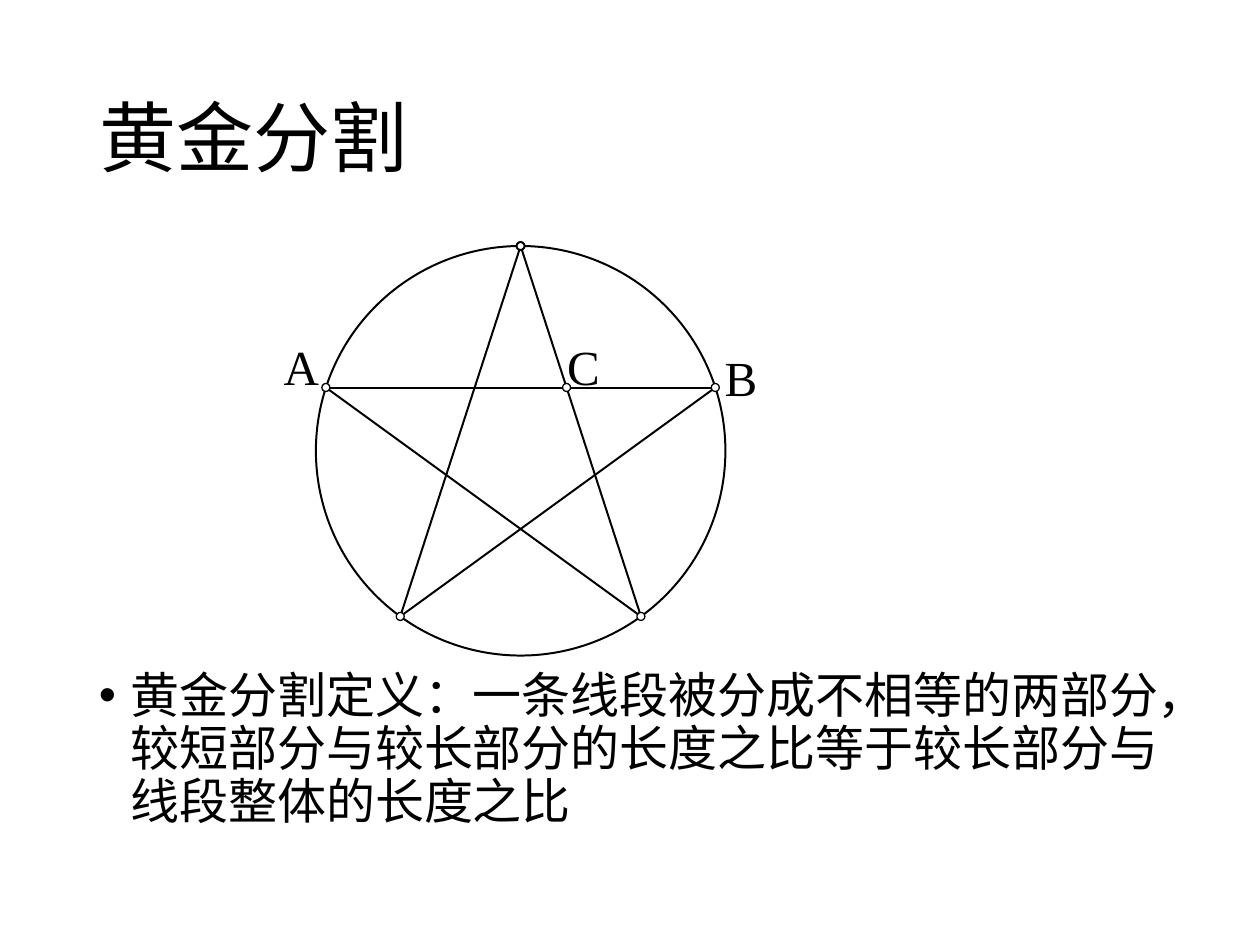
import math
from dataclasses import dataclass
from typing import Any

from lxml import etree
from pptx import Presentation
from pptx.dml.color import RGBColor
from pptx.enum.shapes import MSO_CONNECTOR, MSO_SHAPE
from pptx.enum.text import MSO_ANCHOR, MSO_AUTO_SIZE, PP_ALIGN
from pptx.oxml.ns import qn
from pptx.util import Pt

OVAL = MSO_SHAPE.OVAL
STRAIGHT = MSO_CONNECTOR.STRAIGHT
MIDDLE, TOP = MSO_ANCHOR.MIDDLE, MSO_ANCHOR.TOP
LEFT = PP_ALIGN.LEFT
NO_FIT, GROW = MSO_AUTO_SIZE.NONE, MSO_AUTO_SIZE.SHAPE_TO_FIT_TEXT

COLORS = {"ink": "000000", "paper": "FFFFFF"}
CJK = "Noto Sans CJK SC"
LATIN = "Times New Roman"
GOLDEN_RATIO = (1 + math.sqrt(5)) / 2


@dataclass
class Sketch:
    page: Any
    group: Any = None
    line_width: float = 1.13

    def color(self, name):
        return RGBColor.from_string(COLORS[name])

    def place(self, box, left, top, width, height):
        box.left, box.top = Pt(left), Pt(top)
        box.width, box.height = Pt(width), Pt(height)

    def add_text(self, box, text, size, font, anchor=TOP, wrap=True, fit=NO_FIT):
        frame = box.text_frame
        frame.word_wrap = wrap
        frame.auto_size = fit
        frame.vertical_anchor = anchor
        para = frame.paragraphs[0]
        para.alignment = LEFT
        para.space_before = Pt(0)
        span = para.add_run()
        span.text = text
        span.font.size = Pt(size)
        span.font.name = font
        span.font.color.rgb = self.color("ink")
        east_asian = etree.SubElement(span.font._element, qn("a:ea"))
        east_asian.set("typeface", CJK)
        return para

    def title(self, text, *bounds):
        box = self.page.shapes.title
        self.place(box, *bounds)
        self.add_text(box, text, 44, CJK, anchor=MIDDLE).line_spacing = 0.9

    def bullet(self, text, *bounds):
        box = self.page.shapes.add_textbox(*map(Pt, bounds))
        para = self.add_text(box, text, 28, LATIN)
        para.line_spacing = 0.9
        properties = para._p.get_or_add_pPr()
        properties.set("marL", str(Pt(18)))
        properties.set("indent", str(-Pt(18)))
        properties.set("hangingPunct", "1")
        etree.SubElement(properties, qn("a:buFont")).set("typeface", "Arial")
        etree.SubElement(properties, qn("a:buChar")).set("char", "•")

    def label(self, text, *bounds):
        box = self.page.shapes.add_textbox(*map(Pt, bounds))
        self.add_text(box, text, 28, LATIN, wrap=False, fit=GROW)

    def circle(self, center, radius, width, fill=None):
        x, y = center
        bounds = (x - radius, y - radius, 2 * radius, 2 * radius)
        shape = self.group.shapes.add_shape(OVAL, *map(Pt, bounds))
        shape.shadow.inherit = False
        if fill:
            shape.fill.solid()
            shape.fill.fore_color.rgb = self.color(fill)
        else:
            shape.fill.background()
        shape.line.color.rgb = self.color("ink")
        shape.line.width = Pt(width)

    def segment(self, start, end):
        line = self.group.shapes.add_connector(STRAIGHT, *map(Pt, start + end))
        line.line.color.rgb = self.color("ink")
        line.line.width = Pt(self.line_width)
        etree.SubElement(line._element.spPr, qn("a:effectLst"))


def draw_pentagram(sketch, center, radius):
    sketch.group = sketch.page.shapes.add_group_shape()
    sketch.circle(center, radius, sketch.line_width)
    tips = []
    for step in range(5):
        angle = math.radians(72 * step)
        tips.append((center[0] + radius * math.sin(angle),
                     center[1] - radius * math.cos(angle)))
    order = [0, 3, 1, 4, 2]
    for start, end in zip(order, order[1:] + order[:1]):
        sketch.segment(tips[start], tips[end])
    point_a, point_b = tips[4], tips[1]
    point_c = (point_a[0] + (point_b[0] - point_a[0]) / GOLDEN_RATIO, point_a[1])
    sketch.circle(tips[0], 2.3, sketch.line_width, "paper")
    for point in (point_a, tips[3], tips[2], point_b, point_c):
        sketch.circle(point, 2.3, 0.75, "paper")


def main():
    deck = Presentation()
    deck.slide_width, deck.slide_height = Pt(720), Pt(540)
    sketch = Sketch(deck.slides.add_slide(deck.slide_layouts[5]))
    sketch.title("黄金分割", 49.5, 28.75, 621, 104.4)
    sketch.bullet(
        "黄金分割定义：一条线段被分成不相等的两部分，"
        "较短部分与较长部分的长度之比等于较长部分与线段整体的长度之比",
        49.5, 380, 621, 106)
    draw_pentagram(sketch, (297.5, 257.6), 117)
    for text, left, top, width in (("A", 155, 188.5, 35),
                                   ("B", 407, 195, 33),
                                   ("C", 317, 188.5, 33)):
        sketch.label(text, left, top, width, 41)
    deck.save("out.pptx")


if __name__ == "__main__":
    main()
